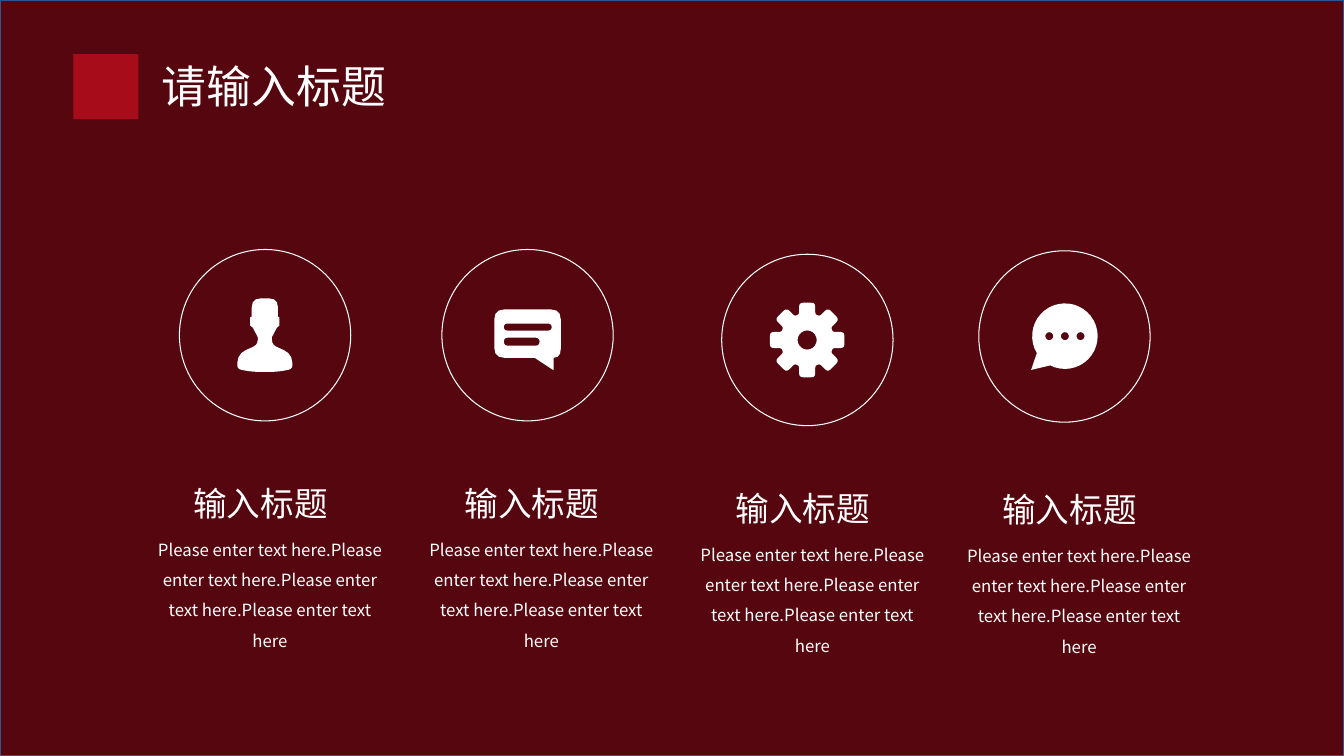
from math import cos, hypot, radians, sin

from lxml import etree
from pptx import Presentation
from pptx import util as u
from pptx.dml.color import RGBColor
from pptx.enum import shapes, text
from pptx.oxml import ns

FONT = "Noto Sans CJK SC"
WHITE, MAROON, RED, BLUE, GREY = "FFFFFF", "55060E", "A70C1B", "325491", "BFBFBF"
SLIDE_W, SLIDE_H = u.Inches(13.333), u.Inches(7.5)
COL, ROW = SLIDE_W / 100, SLIDE_H / 100  # grid of 100 columns by 100 rows
ICON_UNIT = SLIDE_H / 750

CAPTION = "输入标题"
BODY = ("Please enter text here.Please enter text here."
        "Please enter text here.Please enter text here")


def color(hex_code):
    return RGBColor.from_string(hex_code)


def grid(left, top, width, height):
    return [round(v) for v in (left * COL, top * ROW, width * COL, height * ROW)]


# --- Shapes and text ---
def paint(shape, fill=None, line=None, weight=0.75):
    shape.shadow.inherit = False
    if fill:
        shape.fill.solid()
        shape.fill.fore_color.rgb = color(fill)
    else:
        shape.fill.background()
    if line:
        shape.line.color.rgb = color(line)
        shape.line.width = u.Pt(weight)
    else:
        shape.line.fill.background()


def add_preset(slide, kind, box, **look):
    shape = slide.shapes.add_shape(kind, *grid(*box))
    paint(shape, **look)
    return shape


def write(shape, words, size, **paragraph_format):
    frame = shape.text_frame
    frame_format = {"word_wrap": True, "vertical_anchor": text.MSO_ANCHOR.TOP,
                    "auto_size": text.MSO_AUTO_SIZE.SHAPE_TO_FIT_TEXT}
    for key, value in frame_format.items():
        setattr(frame, key, value)
    paragraph = frame.paragraphs[0]
    for key, value in paragraph_format.items():
        setattr(paragraph, key, value)
    run = paragraph.add_run()
    run.text = words
    for key, value in {"size": u.Pt(size), "name": FONT}.items():
        setattr(run.font, key, value)
    run.font.color.rgb = color(WHITE)
    east_asian = etree.SubElement(run.font._element, ns.qn("a:ea"))
    east_asian.set("typeface", FONT)


def add_text(slide, box, words, size, **paragraph_format):
    write(slide.shapes.add_textbox(*grid(*box)), words, size,
          alignment=text.PP_ALIGN.CENTER, **paragraph_format)


# --- Outlines, in icon units ---
def arc(cx, cy, radius, start=0, end=360, steps=12):
    angles = [radians(start + (end - start) * i / steps) for i in range(steps)]
    return [(cx + radius * cos(a), cy + radius * sin(a)) for a in angles]


def rounded(corners, steps=3):
    """Polygon of (x, y, cut) corners, each cut replaced by a curve."""
    points = []
    for i, (x, y, cut) in enumerate(corners):
        if not cut:
            points.append((x, y))
            continue
        ends = []
        for nx, ny, _ in (corners[i - 1], corners[(i + 1) % len(corners)]):
            share = min(cut / hypot(nx - x, ny - y), 1)
            ends.append((x + (nx - x) * share, y + (ny - y) * share))
        (ax, ay), (bx, by) = ends
        for t in (k / steps for k in range(steps + 1)):
            a, m, b = (1 - t) ** 2, 2 * t * (1 - t), t * t
            points.append((a * ax + m * x + b * bx, a * ay + m * y + b * by))
    return points


def bar(left, top, width, height):
    right, bottom, cut = left + width, top + height, height / 2
    return rounded([(left, top, cut), (right, top, cut),
                    (right, bottom, cut), (left, bottom, cut)])


def person():
    half = [(13, 0, 9), (13, 18, 0), (14.5, 19, 0), (14.5, 27, 0), (12, 29, 0),
            (7, 38.5, 0), (7, 46, 5), (27, 55, 9), (27.5, 70, 4), (14, 73, 9)]
    return [rounded(half + [(-x, y, cut) for x, y, cut in reversed(half)])]


def message():
    bubble = [(0, 0, 10), (66, 0, 10), (66, 48, 9), (59, 48, 0),
              (59, 60.5, 1.5), (40, 48, 0), (0, 48, 10)]
    return [rounded(bubble), bar(9.5, 14, 47.5, 7), bar(9.5, 28, 35.5, 8)]


def gear():
    tooth = [(25.5, -8, 2), (37, -8, 4), (37, 8, 4), (25.5, 8, 2)]
    teeth = []
    for turn in (radians(45 * i) for i in range(8)):
        teeth += [(x * cos(turn) - y * sin(turn), x * sin(turn) + y * cos(turn), cut)
                  for x, y, cut in tooth]
    return [rounded(teeth), arc(0, 0, 9.5, steps=20)]


def chat():
    bubble = arc(0, 0, 32.5, 149, 477, steps=36) + [(-14.5, 29), (-33.5, 33.5)]
    return [bubble] + [arc(x, 0, 4) for x in (-15.5, 0, 15.5)]


def add_icon(slide, anchor, contours):
    scaled = [[(x * ICON_UNIT, y * ICON_UNIT) for x, y in c] for c in contours]
    builder = slide.shapes.build_freeform(*scaled[0][0], scale=1.0)
    for i, contour in enumerate(scaled):
        if i:
            builder.move_to(*contour[0])
        builder.add_line_segments(contour[1:], close=True)
    x, y = anchor
    paint(builder.convert_to_shape(round(x * COL), round(y * ROW)), fill=WHITE)


# --- Slide parts ---
def add_heading(slide):
    add_preset(slide, shapes.MSO_SHAPE.RECTANGLE, (5.46, 7.15, 4.85, 8.62), fill=RED)
    heading = slide.shapes.title
    heading.left, heading.top, heading.width, heading.height = grid(11.3, 7.1, 18.6, 8.53)
    write(heading, "请输入标题", 32, alignment=text.PP_ALIGN.LEFT, line_spacing=1.0)


def add_feature(slide, ring, icon, anchor, caption):
    add_preset(slide, shapes.MSO_SHAPE.OVAL, (*ring, 12.75, 22.67), line=WHITE)
    add_icon(slide, anchor, icon())
    left, top = caption
    add_text(slide, (left, top + 6.2, 18.23, 13.47), BODY, 12, line_spacing=1.5)
    add_text(slide, (left, top, 16.8, 6.67), CAPTION, 24)


def main():
    deck = Presentation()
    deck.slide_width, deck.slide_height = SLIDE_W, SLIDE_H
    slide = deck.slides.add_slide(deck.slide_layouts[5])
    slide.background.fill.solid()
    slide.background.fill.fore_color.rgb = color(GREY)

    # Backdrop goes behind the title
    backdrop = add_preset(slide, shapes.MSO_SHAPE.RECTANGLE, (0, 0, 100, 100),
                          fill=MAROON, line=BLUE, weight=1)
    slide.shapes.title._element.addprevious(backdrop._element)

    # Ring corner, icon, icon anchor and caption corner of each feature
    features = [
        ((13.35, 33), person, (19.71, 39.47), (10.98, 63.2)),
        ((32.88, 33), message, (36.78, 40.93), (31.17, 63.2)),
        ((53.7, 33.63), gear, (60.06, 44.98), (51.34, 63.87)),
        ((72.83, 33.17), chat, (79.24, 44.47), (71.18, 64)),
    ]
    for feature in features:
        add_feature(slide, *feature)
    add_heading(slide)
    deck.save("out.pptx")


if __name__ == "__main__":
    main()
